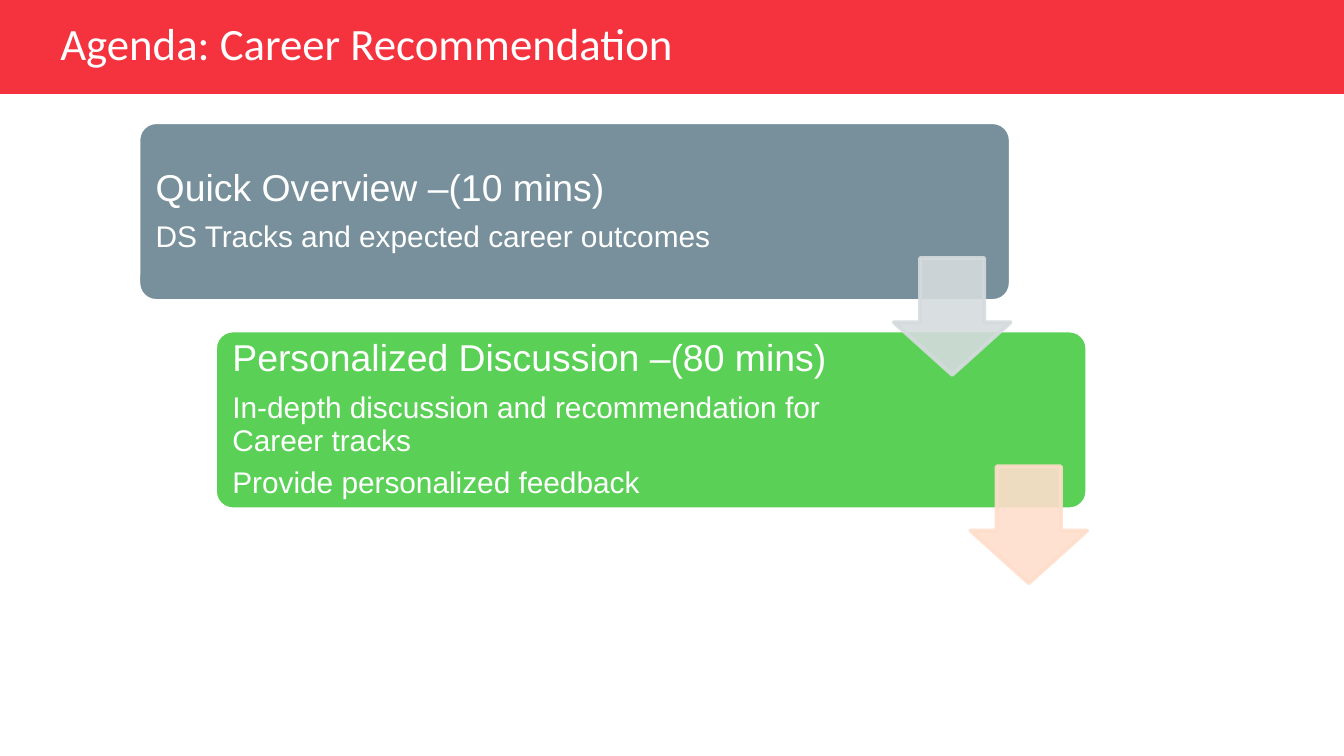
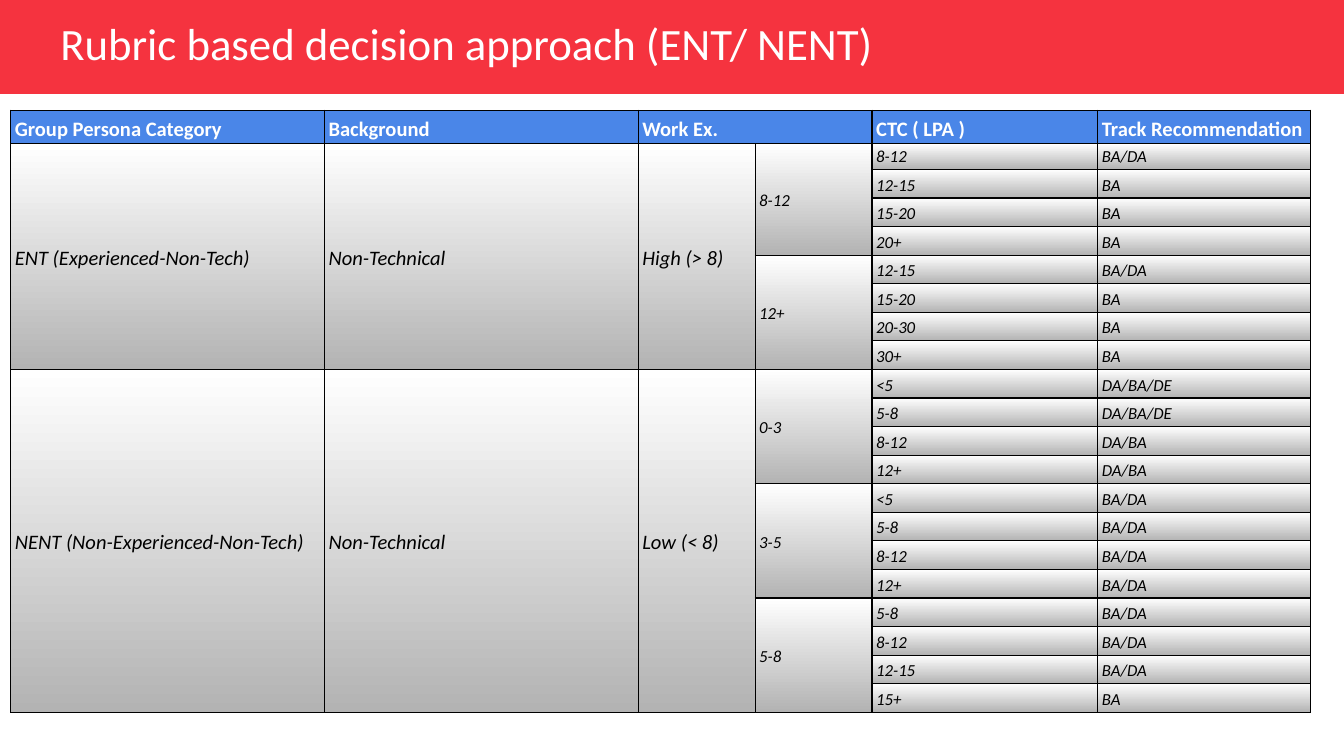
from dataclasses import dataclass
from typing import Any, NamedTuple

from lxml import etree
from pptx import Presentation
from pptx import util as u
from pptx.dml.color import RGBColor
from pptx.enum import shapes, text
from pptx.oxml.ns import qn

SCALE = 4572  # EMU in one px, 200 px to the inch


@dataclass(frozen=True)
class Theme:
    red: str = "F5333F"
    white: str = "FFFFFF"
    black: str = "000000"
    slate: str = "78909C"
    green: str = "5AD156"
    mist: str = "D5DBDD"
    peach: str = "FEDECB"
    blue: str = "4A86E8"
    gray: str = "B3B3B3"
    head: str = "Calibri"
    body: str = "Arial"
    title: int = 24
    large: int = 20
    mid: int = 16
    label: int = 11
    small: int = 9


T = Theme()


class Box(NamedTuple):
    x: int
    y: int
    w: int
    h: int

    def emu(self) -> list[int]:
        return [px(n) for n in self]


class Style(NamedTuple):
    font: str
    size: int
    color: str
    bold: bool = False
    italic: bool = False


class Step(NamedTuple):
    fill: str
    arrow: str
    right: int
    head: str
    notes: list[str]


class Band(NamedTuple):
    years: str
    pay: list[str]
    tracks: list[str]


class Group(NamedTuple):
    name: str
    ground: str
    level: str
    bands: list[Band]


STEPS = [
    Step(T.slate, T.mist, 292, "Quick Overview –(10 mins)",
         ["DS Tracks and expected career outcomes"]),
    Step(T.green, T.peach, 306, "Personalized Discussion –(80 mins)",
         ["In-depth discussion and recommendation for Career tracks",
          "Provide personalized feedback"]),
]

HEADS = {0: "Group Persona Category", 1: "Background", 2: "Work Ex.",
         4: "CTC ( LPA )", 5: "Track Recommendation"}
GROUPS = [
    Group("ENT (Experienced-Non-Tech)", "Non-Technical", "High (> 8)", [
        Band("8-12", ["8-12", "12-15", "15-20", "20+"], ["BA/DA", "BA", "BA", "BA"]),
        Band("12+", ["12-15", "15-20", "20-30", "30+"], ["BA/DA", "BA", "BA", "BA"]),
    ]),
    Group("NENT (Non-Experienced-Non-Tech)", "Non-Technical", "Low (< 8)", [
        Band("0-3", ["<5", "5-8", "8-12", "12+"],
             ["DA/BA/DE", "DA/BA/DE", "DA/BA", "DA/BA"]),
        Band("3-5", ["<5", "5-8", "8-12", "12+"], ["BA/DA"] * 4),
        Band("5-8", ["5-8", "8-12", "12-15", "15+"], ["BA/DA", "BA/DA", "BA/DA", "BA"]),
    ]),
]
COLS = [467, 467, 174, 174, 336, 316]
ROW = 32

HEAD = Style(T.head, T.label, T.white, bold=True)
LABEL = Style(T.head, T.label, T.black, italic=True)
SMALL = Style(T.head, T.small, T.black, italic=True)


def px(n: int) -> int:
    return u.Emu(n * SCALE)


def rgb(code: str) -> RGBColor:
    return RGBColor.from_string(code)


def write(para: Any, words: str, style: Style, space: float = 0.9,
          before: float = 0) -> None:
    para.text = words
    para.alignment = text.PP_ALIGN.LEFT
    para.line_spacing = space
    para.space_before = u.Pt(before)
    font = para.font
    font.name, font.size = style.font, u.Pt(style.size)
    font.bold, font.italic = style.bold, style.italic
    font.color.rgb = rgb(style.color)


def inset(item: Any, left: int, top: int, right: int, low: int) -> None:
    """Set the margins of a text frame or a table cell."""
    item.margin_left, item.margin_top = px(left), px(top)
    item.margin_right, item.margin_bottom = px(right), px(low)
    item.vertical_anchor = text.MSO_ANCHOR.MIDDLE


def shape(slide: Any, kind: Any, box: Box, fill: str, line: str = "") -> Any:
    item = slide.shapes.add_shape(kind, *box.emu())
    item.shadow.inherit = False
    item.fill.solid()
    item.fill.fore_color.rgb = rgb(fill)
    if line:
        item.line.color.rgb = rgb(line)
        item.line.width = u.Pt(2)
    else:
        item.line.fill.background()
    return item


def start(deck: Any, title: str, width: int) -> Any:
    """Add a blank slide with the red band and its title."""
    slide = deck.slides.add_slide(deck.slide_layouts[6])
    shape(slide, shapes.MSO_SHAPE.RECTANGLE, Box(0, 0, 2000, 140), T.red)
    frame = slide.shapes.add_textbox(*Box(70, 26, width, 84).emu()).text_frame
    frame.word_wrap = True
    inset(frame, 20, 10, 20, 10)
    write(frame.paragraphs[0], title, Style(T.head, T.title, T.white))
    return slide


def card(slide: Any, step: Step, box: Box) -> None:
    item = shape(slide, shapes.MSO_SHAPE.ROUNDED_RECTANGLE, box, step.fill, T.white)
    item.adjustments[0] = 0.1
    frame = item.text_frame
    frame.word_wrap = True
    inset(frame, 18, 18, step.right, 18)
    write(frame.paragraphs[0], step.head, Style(T.body, T.large, T.white))
    for i, note in enumerate(step.notes):
        write(frame.add_paragraph(), note, Style(T.body, T.mid, T.white),
              before=5.6 if i else 7)


def arrow(slide: Any, color: str, box: Box) -> None:
    item = shape(slide, shapes.MSO_SHAPE.DOWN_ARROW, box, color, color)
    item.adjustments[0] = 0.55
    item.adjustments[1] = 0.45
    for tone in item.element.spPr.iter(qn("a:srgbClr")):
        etree.SubElement(tone, qn("a:alpha"), val="90000")


def agenda(deck: Any) -> None:
    slide = start(deck, "Agenda: Career Recommendation", 1664)
    for i, step in enumerate(STEPS):
        card(slide, step, Box(206 + 114 * i, 182 + 310 * i, 1298, 266))
    for i, step in enumerate(STEPS):
        arrow(slide, step.arrow, Box(1330 + 114 * i, 384 + 310 * i, 174, 174))


def edge(cell: Any) -> None:
    """Draw thin black borders; they go ahead of the cell's fill."""
    props = cell._tc.get_or_add_tcPr()
    for i, side in enumerate(("lnL", "lnR", "lnT", "lnB")):
        line = etree.Element(qn(f"a:{side}"), w=str(u.Pt(0.75)))
        fill = etree.SubElement(line, qn("a:solidFill"))
        etree.SubElement(fill, qn("a:srgbClr"), val=T.black)
        props.insert(i, line)


def shade(cell: Any, head: bool) -> None:
    if head:
        cell.fill.solid()
        cell.fill.fore_color.rgb = rgb(T.blue)
        return
    cell.fill.gradient()
    cell.fill.gradient_angle = 270
    for stop, color in zip(cell.fill.gradient_stops, (T.white, T.gray)):
        stop.color.rgb = rgb(color)


def put(grid: Any, row: int, col: int, words: str, style: Style,
        rows: int = 1, cols: int = 1, space: float = 1.15) -> None:
    """Fill a cell, merged over the given rows and columns."""
    cell = grid.cell(row, col)
    if rows > 1 or cols > 1:
        cell.merge(grid.cell(row + rows - 1, col + cols - 1))
    write(cell.text_frame.paragraphs[0], words, style, space)


def rubric(deck: Any) -> None:
    slide = start(deck, "Rubric based decision approach (ENT/ NENT)", 1444)
    count = 1 + sum(len(b.pay) for g in GROUPS for b in g.bands)
    box = Box(16, 164, sum(COLS), 918)
    frame = slide.shapes.add_table(count, len(COLS), *box.emu())
    grid = frame.table
    grid.first_row = grid.horz_banding = False
    for col, width in zip(grid.columns, COLS):
        col.width = px(width)
    for row in grid.rows:
        row.height = px(ROW)
    frame.height = px(box.h)
    for i, cell in enumerate(grid.iter_cells()):
        inset(cell, 6, 4, 6, 4)
        shade(cell, i < len(COLS))
        edge(cell)

    for col, words in HEADS.items():
        put(grid, 0, col, words, HEAD, cols=2 if col == 2 else 1)
    row = 1
    for group in GROUPS:
        span = sum(len(b.pay) for b in group.bands)
        for col, words in enumerate((group.name, group.ground, group.level)):
            put(grid, row, col, words, LABEL, rows=span)
        for band in group.bands:
            put(grid, row, 3, band.years, SMALL, rows=len(band.pay))
            for pay, track in zip(band.pay, band.tracks):
                space = 1.0 if row == 1 else 1.15
                put(grid, row, 4, pay, SMALL, space=space)
                put(grid, row, 5, track, SMALL, space=space)
                row += 1


def main() -> None:
    deck = Presentation()
    deck.slide_width, deck.slide_height = px(2000), px(1125)
    agenda(deck)
    rubric(deck)
    deck.save("out.pptx")


if __name__ == "__main__":
    main()
